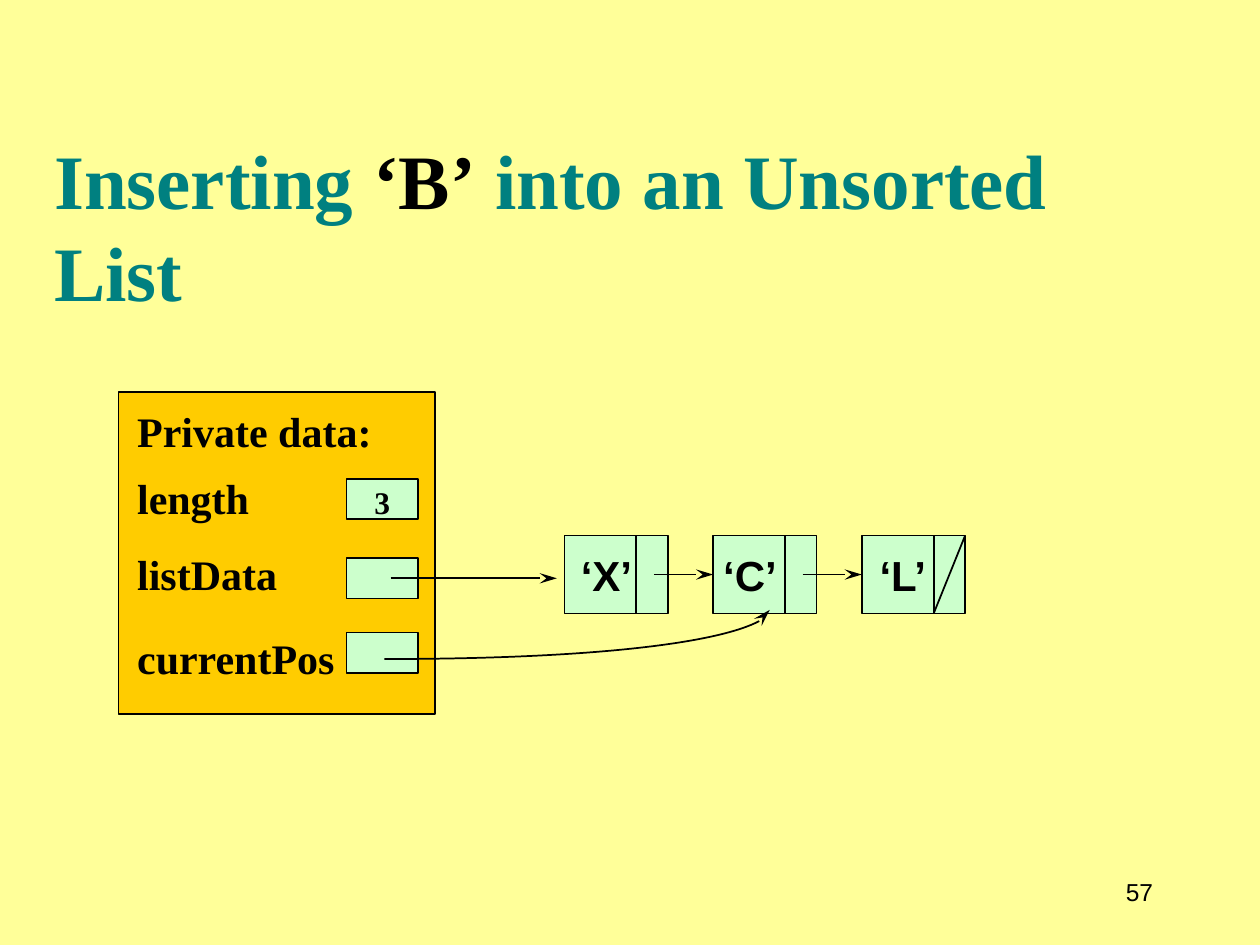
"""Build a slide showing an unsorted linked list before 'B' is inserted."""
from typing import NamedTuple

from lxml.etree import SubElement
from pptx import Presentation
from pptx.dml.color import RGBColor
from pptx.enum.shapes import MSO_CONNECTOR as Connector, MSO_SHAPE as Preset
from pptx.enum.text import MSO_ANCHOR as Anchor, PP_ALIGN as Align
from pptx.oxml.ns import qn
from pptx.util import Inches, Pt

BLACK = RGBColor(0x00, 0x00, 0x00)
TEAL = RGBColor(0x00, 0x80, 0x80)
CREAM = RGBColor(0xFF, 0xFF, 0x99)
GOLD = RGBColor(0xFF, 0xCC, 0x00)
MINT = RGBColor(0xCC, 0xFF, 0xCC)
SERIF, SANS = "Times New Roman", "Arial"

NODE_LEFT, NODE_PITCH, NODE_TOP = 4.48, 1.18, 4.25
NODE_WIDTH, NODE_HEIGHT = 0.82, 0.62
DIVIDER, ARROW_START = 0.57, 0.71


class Point(NamedTuple):
    x: float
    y: float


class Field(NamedTuple):
    label: str
    space_before: float
    cell_top: float | None = None
    value: str = ""


class Node(NamedTuple):
    text: str
    indent: float


FIELDS = [
    Field("Private data:", 0),
    Field("length", 9.5, 3.8, "3"),
    Field("listData", 14.5, 4.43),
    Field("currentPos", 19, 5.02),
]
NODES = [Node("‘X’", 0.13), Node("‘C’", 0.08), Node("‘L’", 0.14)]
CURVE = [Point(6.11, 4.84), Point(6.11, 5.05), Point(4.75, 5.23), Point(3.05, 5.23)]


def style_font(target, name: str, size: float, bold: bool = True, color: RGBColor = BLACK) -> None:
    font = target.font
    font.name, font.size, font.bold = name, Pt(size), bold
    font.color.rgb = color


def add_box(page, left: float, top: float, width: float, height: float, fill: RGBColor):
    box = page.shapes.add_shape(
        Preset.RECTANGLE, Inches(left), Inches(top), Inches(width), Inches(height))
    box.shadow.inherit = False
    box.fill.solid()
    box.fill.fore_color.rgb = fill
    box.line.color.rgb, box.line.width = BLACK, Pt(1)
    return box


def write_in_box(box, text: str, font: str, size: float, align: Align,
                 left: float = 0, top: float = 0) -> None:
    frame = box.text_frame
    frame.word_wrap = False
    frame.vertical_anchor = Anchor.MIDDLE
    frame.margin_left, frame.margin_top = Inches(left), Inches(top)
    frame.margin_right = frame.margin_bottom = 0
    para = frame.paragraphs[0]
    para.text, para.alignment = text, align
    style_font(para, font, size)


def add_arrowhead(shape, end: str) -> None:
    SubElement(shape.line._get_or_add_ln(), qn(end), type="stealth", w="med", len="lg")


def add_line(page, start: Point, end: Point, arrow: bool = False):
    line = page.shapes.add_connector(
        Connector.STRAIGHT, Inches(start.x), Inches(start.y), Inches(end.x), Inches(end.y))
    line.line.color.rgb, line.line.width = BLACK, Pt(1)
    if arrow:
        add_arrowhead(line, "a:tailEnd")
    SubElement(line.element.spPr, qn("a:effectLst"))
    return line


def add_curve(page, points: list[Point]) -> None:
    builder = page.shapes.build_freeform(
        Inches(points[0].x), Inches(points[0].y), scale=1.0)
    builder.add_line_segments(
        [(Inches(point.x), Inches(point.y)) for point in points[1:]], close=False)
    curve = builder.convert_to_shape()
    curve.shadow.inherit = False
    curve.fill.background()
    curve.line.color.rgb, curve.line.width = BLACK, Pt(1)
    add_arrowhead(curve, "a:headEnd")
    outline = curve.element.find(f".//{qn('a:path')}")
    bezier = SubElement(outline, qn("a:cubicBezTo"))
    for segment in outline.findall(qn("a:lnTo")):
        bezier.append(segment[0])
        outline.remove(segment)


def add_title(page) -> None:
    title = page.shapes.title
    title.left, title.top = Inches(0.33), Inches(1)
    title.width, title.height = Inches(9), Inches(1.6)
    frame = title.text_frame
    frame.word_wrap = True
    frame.vertical_anchor = Anchor.TOP
    para = frame.paragraphs[0]
    para.alignment = Align.LEFT
    for text, color in [("Inserting ", TEAL), ("‘B’", BLACK), (" into an Unsorted List", TEAL)]:
        span = para.add_run()
        span.text = text
        style_font(span, SERIF, 44, color=color)


def add_private_data(page) -> None:
    add_box(page, 0.94, 3.11, 2.51, 2.56, GOLD)
    frame = page.shapes.add_textbox(
        Inches(0.99), Inches(3.17), Inches(2.22), Inches(2.63)).text_frame
    frame.word_wrap = True
    for index, field in enumerate(FIELDS):
        para = frame.add_paragraph() if index else frame.paragraphs[0]
        para.text, para.space_before = field.label, Pt(field.space_before)
        style_font(para, SERIF, 24)
        if field.cell_top is not None:
            cell = add_box(page, 2.75, field.cell_top, 0.57, 0.32, MINT)
            if field.value:
                write_in_box(cell, field.value, SERIF, 18, Align.CENTER, top=0.05)


def add_linked_list(page) -> None:
    bottom, middle = NODE_TOP + NODE_HEIGHT, NODE_TOP + NODE_HEIGHT / 2
    for index, node in enumerate(NODES):
        left = NODE_LEFT + index * NODE_PITCH
        box = add_box(page, left, NODE_TOP, NODE_WIDTH, NODE_HEIGHT, MINT)
        write_in_box(box, node.text, SANS, 24, Align.LEFT, left=node.indent)
        add_line(page, Point(left + DIVIDER, NODE_TOP), Point(left + DIVIDER, bottom))
        if index:
            start = Point(left - NODE_PITCH + ARROW_START, middle)
            add_line(page, start, Point(left, middle), arrow=True).end_connect(box, 1)
    add_line(page, Point(left + NODE_WIDTH, NODE_TOP), Point(left + DIVIDER, bottom))


def add_page_number(page) -> None:
    box = page.shapes.add_textbox(Inches(8.58), Inches(6.83), Inches(0.67), Inches(0.5))
    frame = box.text_frame
    frame.word_wrap = True
    frame.vertical_anchor = Anchor.MIDDLE
    para = frame.paragraphs[0]
    para.text, para.alignment = "57", Align.RIGHT
    style_font(para, SANS, 14, bold=False)


def main() -> None:
    deck = Presentation()
    deck.slide_width, deck.slide_height = Inches(10), Inches(7.5)
    page = deck.slides.add_slide(deck.slide_layouts.get_by_name("Title Only"))
    page.background.fill.solid()
    page.background.fill.fore_color.rgb = CREAM
    add_title(page)
    add_private_data(page)
    add_linked_list(page)
    add_line(page, Point(3.1, 4.59), Point(4.42, 4.59), arrow=True)
    add_curve(page, CURVE)
    add_page_number(page)
    deck.save("out.pptx")


if __name__ == "__main__":
    main()
